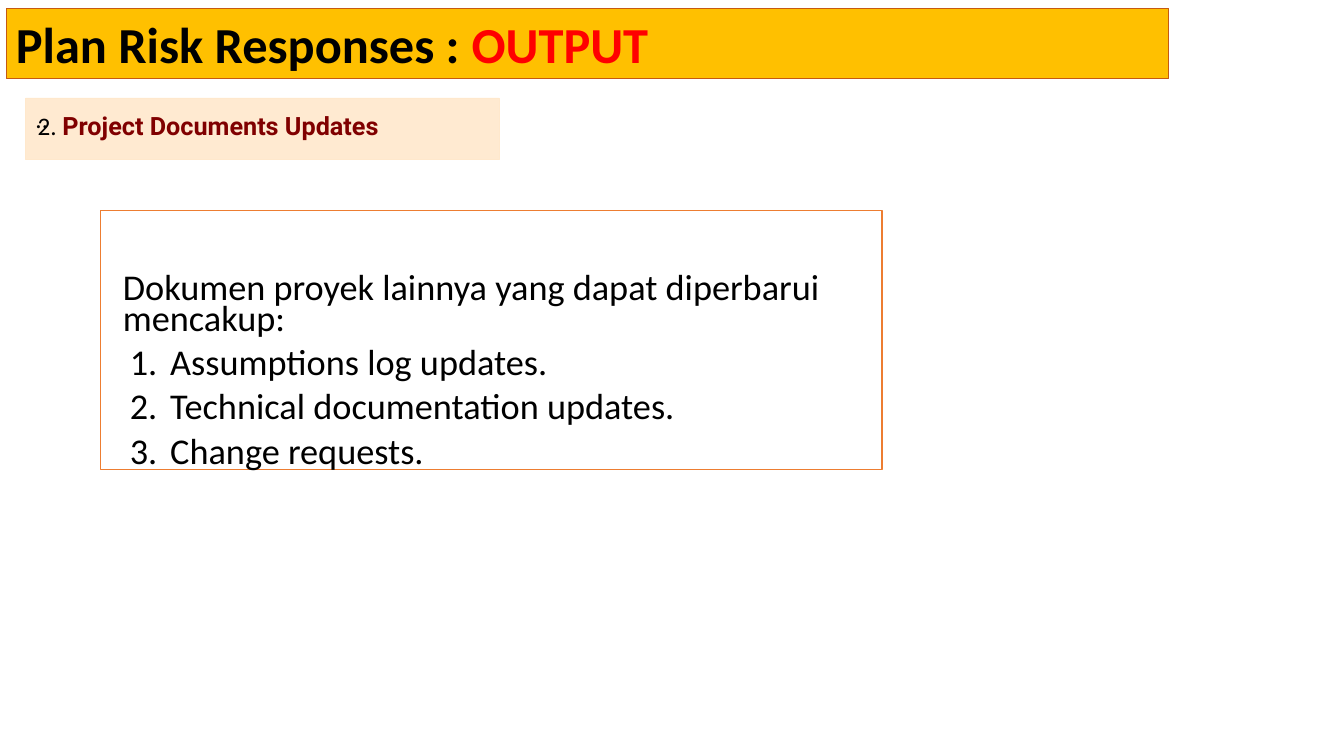
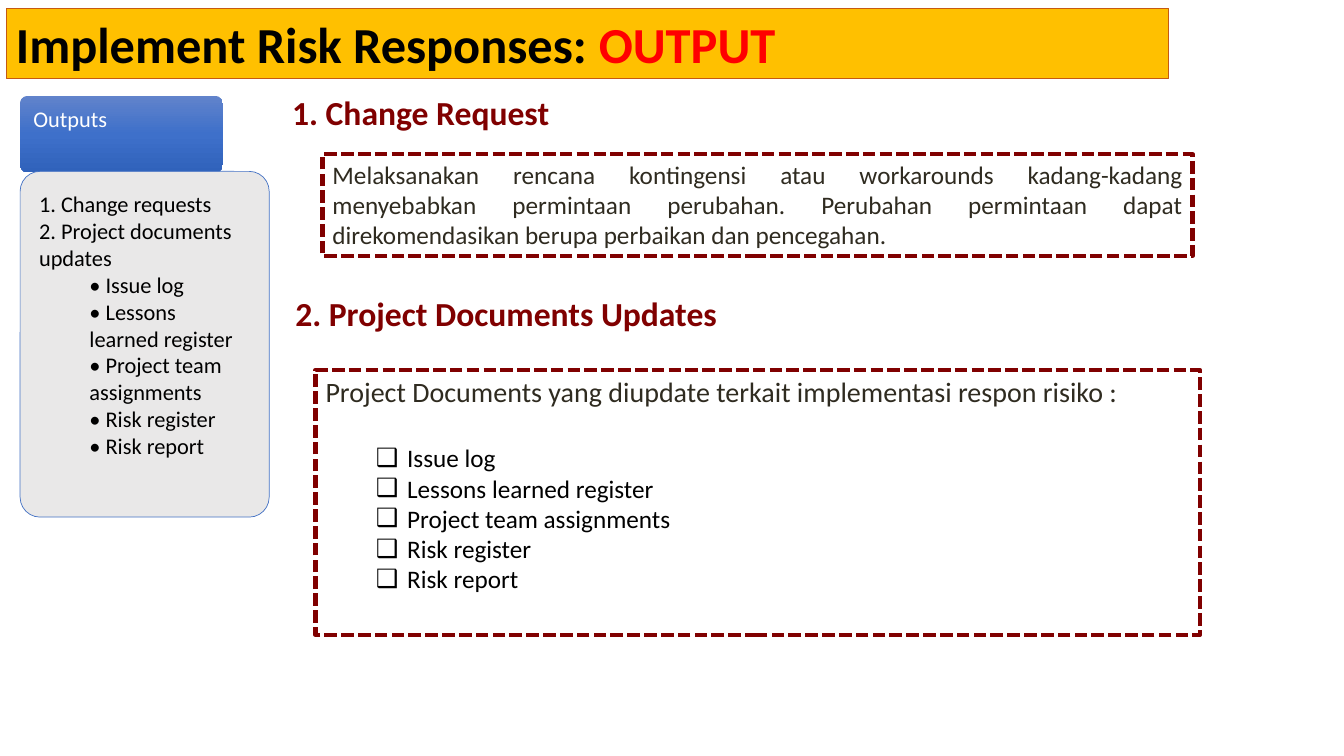
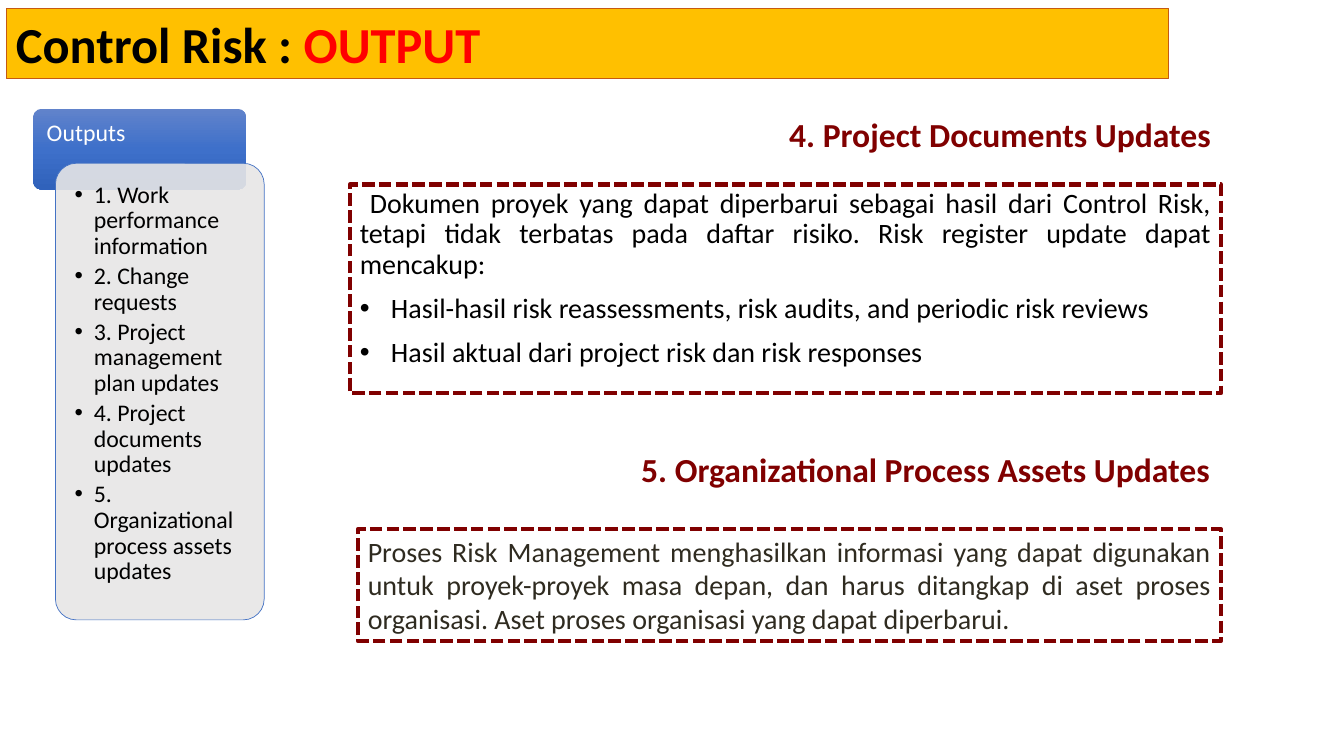
from copy import deepcopy
from dataclasses import dataclass
from lxml.etree import SubElement
from pptx import Presentation
from pptx.dml.color import RGBColor
from pptx.enum.dml import MSO_LINE
from pptx.enum.shapes import MSO_SHAPE
from pptx.enum.text import MSO_ANCHOR, PP_ALIGN
from pptx.oxml.ns import qn
from pptx.util import Emu, Inches, Pt


@dataclass(frozen=True)
class Theme:
    font: str = "Calibri"
    accent: str = "Roboto"
    black: str = "000000"
    white: str = "FFFFFF"
    ink: str = "2F2B20"
    maroon: str = "800000"
    red: str = "FF0000"
    gold: str = "FFC000"
    rust: str = "C55A11"
    orange: str = "ED7D31"
    cream: str = "FFE8CC"
    gray: str = "E7E6E6"
    blue: str = "4472C4"
    fade: tuple = ("6183CB", "3E70CA", "3062BB")
    title: float = 36
    body: float = 25.9
    head: float = 24
    large: float = 20
    text: float = 18
    side: float = 17
    small: float = 16


@dataclass(frozen=True)
class Para:
    text: str
    size: float
    color: str = Theme.black
    bold: bool = False
    align: PP_ALIGN = PP_ALIGN.LEFT
    left: float = 0
    hang: float = 0
    mark: str = ""
    line: float = 1
    before: float = 0
    after: float = 0
    tail: str = ""
    tint: str = Theme.red
    face: str = Theme.font


class Deck:
    def __init__(self, theme):
        self.theme = theme
        self.prs = Presentation()
        self.prs.slide_width = Inches(13.33)
        self.prs.slide_height = Inches(7.5)
        self.slide = None

    def area(self, share):
        width, height = self.prs.slide_width, self.prs.slide_height
        return [Emu(round(part * full / 100))
                for part, full in zip(share, (width, height) * 2)]

    def put(self, shape, paras, inset=(0.1, 0.05, 0.1, 0.05)):
        frame = shape.text_frame
        frame.word_wrap = True
        frame.vertical_anchor = MSO_ANCHOR.TOP
        (frame.margin_left, frame.margin_top,
         frame.margin_right, frame.margin_bottom) = map(Inches, inset)
        for pos, item in enumerate(paras):
            para = frame.add_paragraph() if pos else frame.paragraphs[0]
            para.alignment = item.align
            para.line_spacing = item.line
            para.space_before = Pt(item.before if pos else 0)
            para.space_after = Pt(item.after)
            props = para._p.get_or_add_pPr()
            props.set("marL", str(Inches(item.left)))
            props.set("indent", str(Inches(item.hang)))
            if item.mark == "1.":
                SubElement(props, qn("a:buAutoNum"), type="arabicPeriod")
            elif item.mark:
                SubElement(props, qn("a:buFont"), typeface="Arial")
                SubElement(props, qn("a:buChar"), char=item.mark)
            else:
                SubElement(props, qn("a:buNone"))
            para.font.size = Pt(item.size)
            para.font.name = self.theme.font
            para.font.bold = item.bold
            para.font.color.rgb = RGBColor.from_string(item.color)
            para.add_run().text = item.text
            if item.tail:
                run = para.add_run()
                run.text = item.tail
                run.font.bold = True
                run.font.name = item.face
                run.font.color.rgb = RGBColor.from_string(item.tint)

    def box(self, share, fill=None, line=None, width=1.0, kind=MSO_SHAPE.RECTANGLE, alpha=None):
        shape = self.slide.shapes.add_shape(kind, *self.area(share))
        shape.shadow.inherit = False
        if fill:
            shape.fill.solid()
            shape.fill.fore_color.rgb = RGBColor.from_string(fill)
            if alpha:
                tone = shape._element.spPr.find(".//" + qn("a:srgbClr"))
                SubElement(tone, qn("a:alpha"), val=str(alpha * 1000))
        else:
            shape.fill.background()
        if line:
            shape.line.color.rgb = RGBColor.from_string(line)
            shape.line.width = Pt(width)
        else:
            shape.line.fill.background()
        return shape

    def page(self, name):
        look = self.theme
        self.slide = self.prs.slides.add_slide(self.prs.slide_layouts[6])
        band = self.box((0.45, 1.07, 86.5, 9.33), look.gold, look.rust, 0.75)
        self.put(band, [Para(name + " ", look.title, bold=True, tail="OUTPUT")])

    def note(self, share, paras, inset=(0.1, 0.05, 0.1, 0.05)):
        self.put(self.slide.shapes.add_textbox(*self.area(share)), paras, inset)

    def head(self, share, text, align=PP_ALIGN.LEFT):
        look = self.theme
        self.note(share, [Para(text, look.head, look.maroon, True, align)])

    def frame(self, share, paras):
        shape = self.box(share, line=self.theme.maroon, width=3)
        shape.line.dash_style = MSO_LINE.SQUARE_DOT
        self.put(shape, paras)

    def tab(self, share, size):
        look = self.theme
        shape = self.box(share, kind=MSO_SHAPE.ROUNDED_RECTANGLE)
        shape.adjustments[0] = 0.1
        shape.fill.gradient()
        shape.fill.gradient_angle = 270
        first = shape._element.spPr.find(".//" + qn("a:gs"))
        first.addnext(deepcopy(first))
        for step, (stop, color) in enumerate(zip(shape.fill.gradient_stops, look.fade)):
            stop.position = step / 2
            stop.color.rgb = RGBColor.from_string(color)
        self.put(shape, [Para("Outputs", size, look.white, line=0.9)], (0.11, 0.1, 0.11, 0.1))

    def panel(self, share, curve, paras):
        look = self.theme
        shape = self.box(share, look.gray, look.blue, 0.5, MSO_SHAPE.ROUNDED_RECTANGLE, 90)
        shape.adjustments[0] = curve
        self.put(shape, paras, (0.13,) * 4)


def plan(deck):
    look = deck.theme
    deck.page("Plan Risk Responses :")
    label = (1.9, 12.95, 35.25, 8.15)
    deck.put(deck.box(label, look.cream, look.cream, 0.5, alpha=90), [Para("..", look.text)])
    deck.note(label, [Para("2. ", look.text, tail="Project Documents Updates",
                           tint=look.maroon, face=look.accent)], (0.12, 0.12, 0.16, 0.18))
    items = ["Assumptions log updates.", "Technical documentation updates.", "Change requests."]
    lead = Para("Dokumen proyek lainnya yang dapat diperbarui mencakup:",
                look.body, left=0.12, line=0.7)
    deck.put(deck.box((7.5, 27.87, 58.14, 34.27), look.white, look.orange),
             [lead] + [Para(item, look.body, left=0.59, hang=-0.4, mark="1.", line=0.7, before=10)
                       for item in items], (0.1, 0.65, 0.1, 0.05))


def act(deck):
    look = deck.theme
    deck.page("Implement Risk Responses:")
    deck.head((21, 11.47, 42.5, 6.67), "1. Change Request")
    deck.head((21.23, 38.13, 33.16, 6.67), "2. Project Documents Updates")
    deck.frame((24, 20.4, 64.74, 13.47), [Para(
        "Melaksanakan rencana kontingensi atau workarounds kadang-kadang menyebabkan "
        "permintaan perubahan. Perubahan permintaan dapat direkomendasikan berupa "
        "perbaikan dan pencegahan.", look.text, look.ink, align=PP_ALIGN.JUSTIFY)])
    logs = ["Issue log", "Lessons learned register", "Project team assignments",
            "Risk register", "Risk report"]
    lead = Para("Project Documents yang diupdate terkait implementasi respon risiko :",
                look.large, look.ink, align=PP_ALIGN.JUSTIFY, after=24.4)
    deck.frame((23.48, 48.93, 65.79, 35.07),
               [lead] + [Para(log, look.text, left=0.81, hang=-0.31, mark="❑") for log in logs])
    deck.tab((1.5, 12.67, 15.08, 10.13), look.small)
    tops = ["1. Change requests", "2. Project documents updates"]
    deck.panel((1.5, 22.67, 18.53, 45.73), 0.08,
               [Para(top, look.small) for top in tops]
               + [Para("• " + log, look.small, left=0.5) for log in logs])


def control(deck):
    look = deck.theme
    deck.page("Control Risk :")
    deck.tab((2.48, 14.4, 15.83, 10.67), look.side)
    items = ["1. Work performance information", "2. Change requests",
             "3. Project management plan updates", "4. Project documents updates",
             "5. Organizational process assets updates"]
    deck.panel((4.13, 21.6, 15.53, 60.4), 0.1,
               [Para(item, look.side, left=0.19, hang=-0.19, mark="•", line=0.9, after=3)
                for item in items])
    lead = Para("Dokumen proyek yang dapat diperbarui sebagai hasil dari Control Risk, tetapi "
                "tidak terbatas pada daftar risiko. Risk register update dapat mencakup:",
                look.large, align=PP_ALIGN.JUSTIFY, hang=0.1, line=0.9)
    points = ["Hasil-hasil risk reassessments, risk audits, and periodic risk reviews",
              "Hasil aktual dari project risk dan risk responses"]
    deck.frame((26.03, 24.4, 64.82, 27.6),
               [lead] + [Para(point, look.large, align=PP_ALIGN.JUSTIFY, left=0.31, hang=-0.31,
                              mark="•", line=0.9, before=10) for point in points])
    deck.head((57.01, 14.4, 33.83, 6.67), "4. Project Documents Updates", PP_ALIGN.RIGHT)
    deck.head((45.91, 58.67, 44.86, 6.67), "5. Organizational Process Assets Updates",
              PP_ALIGN.RIGHT)
    deck.frame((26.63, 70, 64.22, 14.8), [Para(
        "Proses Risk Management menghasilkan informasi yang dapat digunakan untuk "
        "proyek-proyek masa depan, dan harus ditangkap di aset proses organisasi. "
        "Aset proses organisasi yang dapat diperbarui.",
        look.large, look.ink, align=PP_ALIGN.JUSTIFY)])


def main():
    deck = Deck(Theme())
    for draw in (plan, act, control):
        draw(deck)
    deck.prs.save("out.pptx")


if __name__ == "__main__":
    main()
